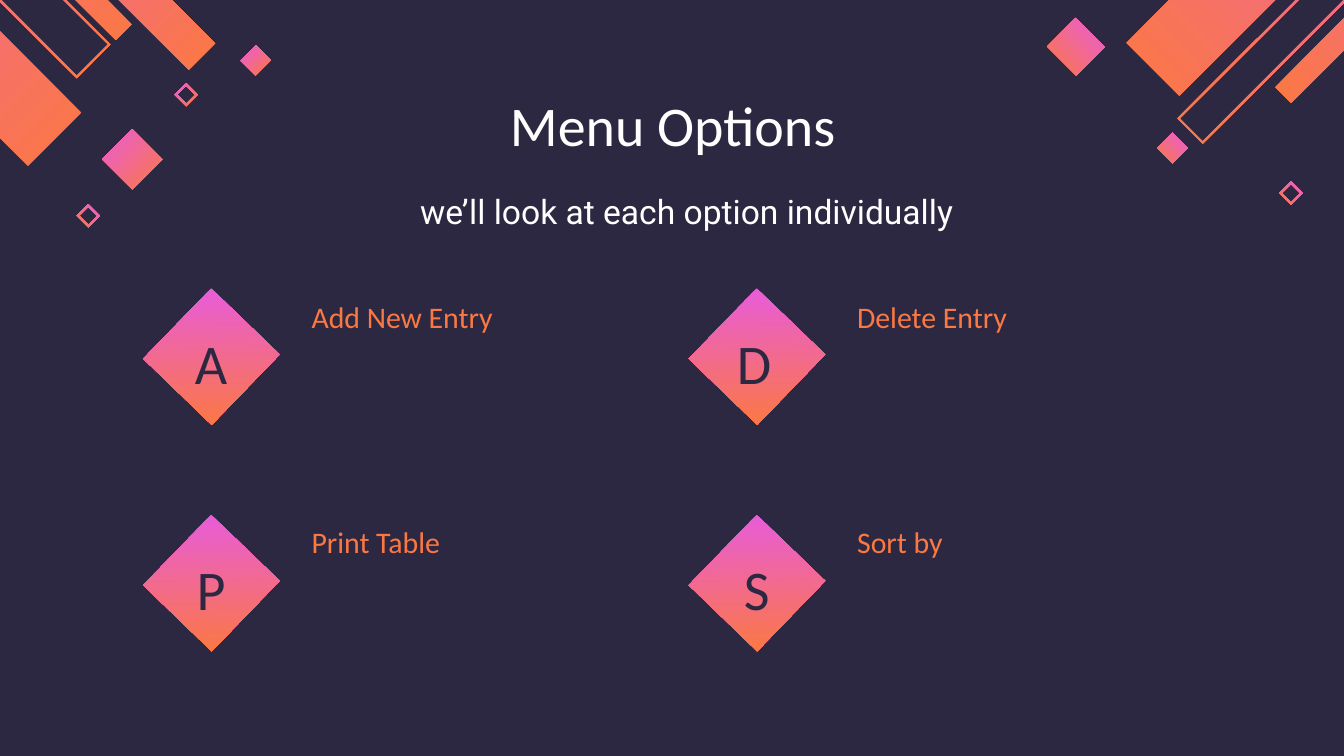
from pptx import Presentation
from pptx.dml.color import RGBColor
from pptx.enum.shapes import MSO_SHAPE
from pptx.enum.text import MSO_ANCHOR, MSO_AUTO_SIZE, PP_ALIGN
from pptx.util import Cm, Pt

NIGHT, ORANGE, PINK, WHITE = "2D2842", "FB7843", "E85CDB", "FFFFFF"
OUTLINE = 0.05
INSET = 0.25

LEFT_BARS = [
    (-6.12, -4.52, 7.65, 1.0),
    (-1.7, -4.45, 5.77, 0.5),
    (-3.78, -5.51, 6.27, 0.3),
    (1.93, 2.44, 1.14, 0.57),
    (4.55, 0.86, 0.57, 0.29),
]
LEFT_FRAMES = [(-3.5, -4.11, 5.59, 0.64), (3.3, 1.57, 0.44, 0.22)]
RIGHT_BARS = [
    (21.87, 2.51, 0.58, 0.29),
    (19.79, 0.34, 1.09, 0.55),
    (21.29, -5.84, 7.65, 1.0),
    (24.1, -4.32, 6.27, 0.3),
]
RIGHT_FRAMES = [
    (22.25, -3.43, 6.15, 0.48),
    (24.18, 3.43, 0.44, 0.22),
    (1.45, 3.86, 0.44, 0.22),
]
OPTIONS = [
    ("A", "Add New Entry", 0, 0, INSET),
    ("P", "Print Table", 0, 1, INSET),
    ("D", "Delete Entry", 1, 0, 0.15),
    ("S", "Sort by", 1, 1, INSET),
]


def color(hex_value):
    return RGBColor.from_string(hex_value)


def paint_gradient(shape, start, end, angle):
    shape.shadow.inherit = False
    shape.line.fill.background()
    shape.fill.gradient()
    shape.fill.gradient_angle = angle
    for stop, hex_value in zip(shape.fill.gradient_stops, (start, end)):
        stop.color.rgb = color(hex_value)


def bar_corners(left, top, size, leg, rising):
    corners = [(0, leg), (leg, 0), (size, size - leg), (size - leg, size)]
    return [
        (Cm(left + (size - x if rising else x)), Cm(top + y))
        for x, y in corners
    ]


def add_bar(slide, bar, rising, hollow=False):
    left, top, size, leg = bar
    outer = bar_corners(left, top, size, leg, rising)
    builder = slide.shapes.build_freeform(*outer[0])
    builder.add_line_segments(outer[1:], close=True)
    if hollow:
        inner = bar_corners(left + OUTLINE, top + OUTLINE,
                            size - 2 * OUTLINE, leg - OUTLINE, rising)
        builder.move_to(*inner[0])
        builder.add_line_segments(inner[1:], close=True)
    paint_gradient(builder.convert_to_shape(), ORANGE, PINK,
                   45 if rising else 135)


def write_text(holder, box, text, size, hex_value, font="Calibri",
               align=PP_ALIGN.CENTER, anchor=MSO_ANCHOR.TOP,
               inset_left=INSET, line_spacing=1.0):
    holder.left, holder.top, holder.width, holder.height = map(Cm, box)
    frame = holder.text_frame
    frame.word_wrap = True
    frame.auto_size = MSO_AUTO_SIZE.NONE
    frame.vertical_anchor = anchor
    frame.margin_left = Cm(inset_left)
    frame.margin_top = frame.margin_right = frame.margin_bottom = Cm(INSET)
    paragraph = frame.paragraphs[0]
    paragraph.alignment = align
    paragraph.space_before = Pt(0)
    paragraph.line_spacing = line_spacing
    run = paragraph.add_run()
    run.text = text
    run.font.name = font
    run.font.size = Pt(size)
    run.font.color.rgb = color(hex_value)


def add_text(slide, box, *args, **options):
    holder = slide.shapes.add_textbox(*map(Cm, box))
    write_text(holder, box, *args, **options)


def add_option(slide, letter, label, column, row, inset_left):
    x = 3.07 + 10.31 * column
    y = 5.84 + 4.28 * row
    diamond = slide.shapes.add_shape(
        MSO_SHAPE.RECTANGLE, Cm(x), Cm(y), Cm(1.85), Cm(1.8))
    diamond.rotation = 134
    paint_gradient(diamond, PINK, ORANGE, 45)
    add_text(slide, (x + 0.08, y + 0.12, 1.68, 1.6), letter, 30, NIGHT,
             inset_left=inset_left)
    add_text(slide, (x + 2.57, 5.21 + 4.24 * row, 6.73, 1.37), label, 16,
             ORANGE, align=PP_ALIGN.LEFT, anchor=MSO_ANCHOR.BOTTOM)


def main():
    deck = Presentation()
    deck.slide_width, deck.slide_height = Cm(25.4), Cm(14.29)
    slide = deck.slides.add_slide(deck.slide_layouts[0])
    slide.background.fill.solid()
    slide.background.fill.fore_color.rgb = color(NIGHT)

    for bars, rising, hollow in [
        (LEFT_BARS, False, False), (LEFT_FRAMES, False, True),
        (RIGHT_BARS, True, False), (RIGHT_FRAMES, True, True),
    ]:
        for bar in bars:
            add_bar(slide, bar, rising, hollow)

    title, subtitle = slide.placeholders
    write_text(title, (1.68, 1.47, 22.07, 1.6), "Menu Options", 30, WHITE)
    write_text(subtitle, (4.85, 3.2, 16.26, 2.08),
               "we’ll look at each option individually", 18, WHITE,
               font="Roboto", line_spacing=1.2)
    for option in OPTIONS:
        add_option(slide, *option)

    deck.save("out.pptx")


if __name__ == "__main__":
    main()
